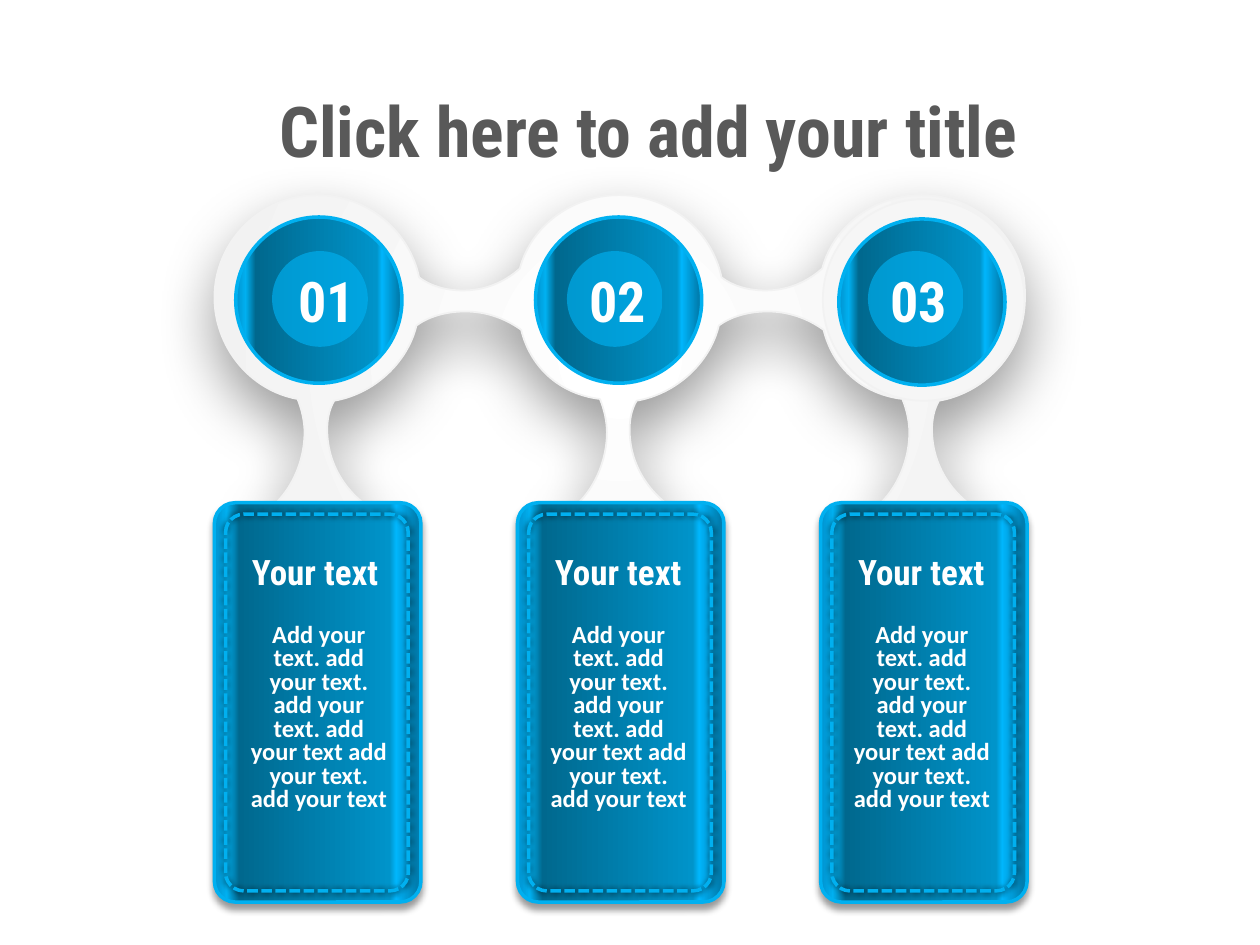
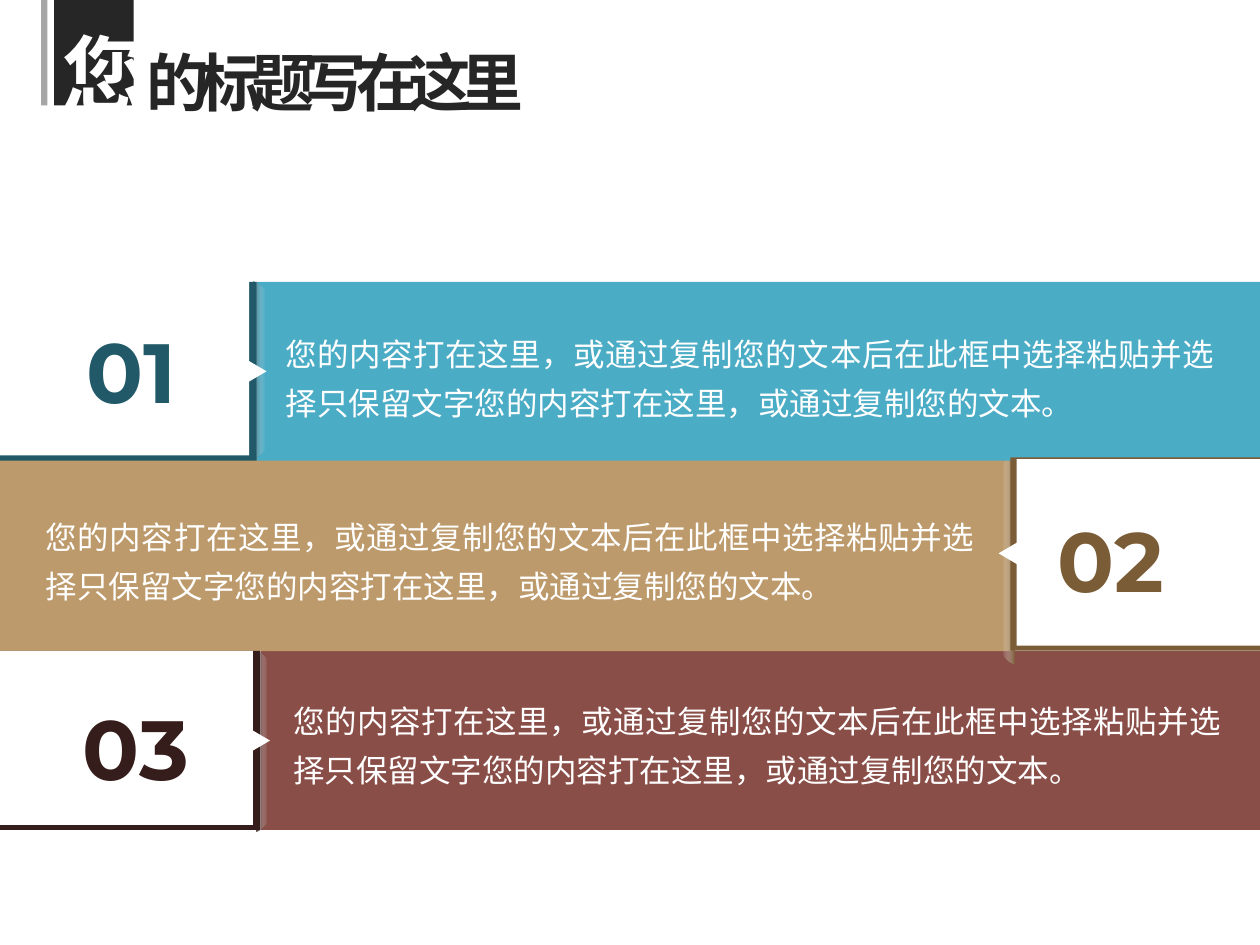
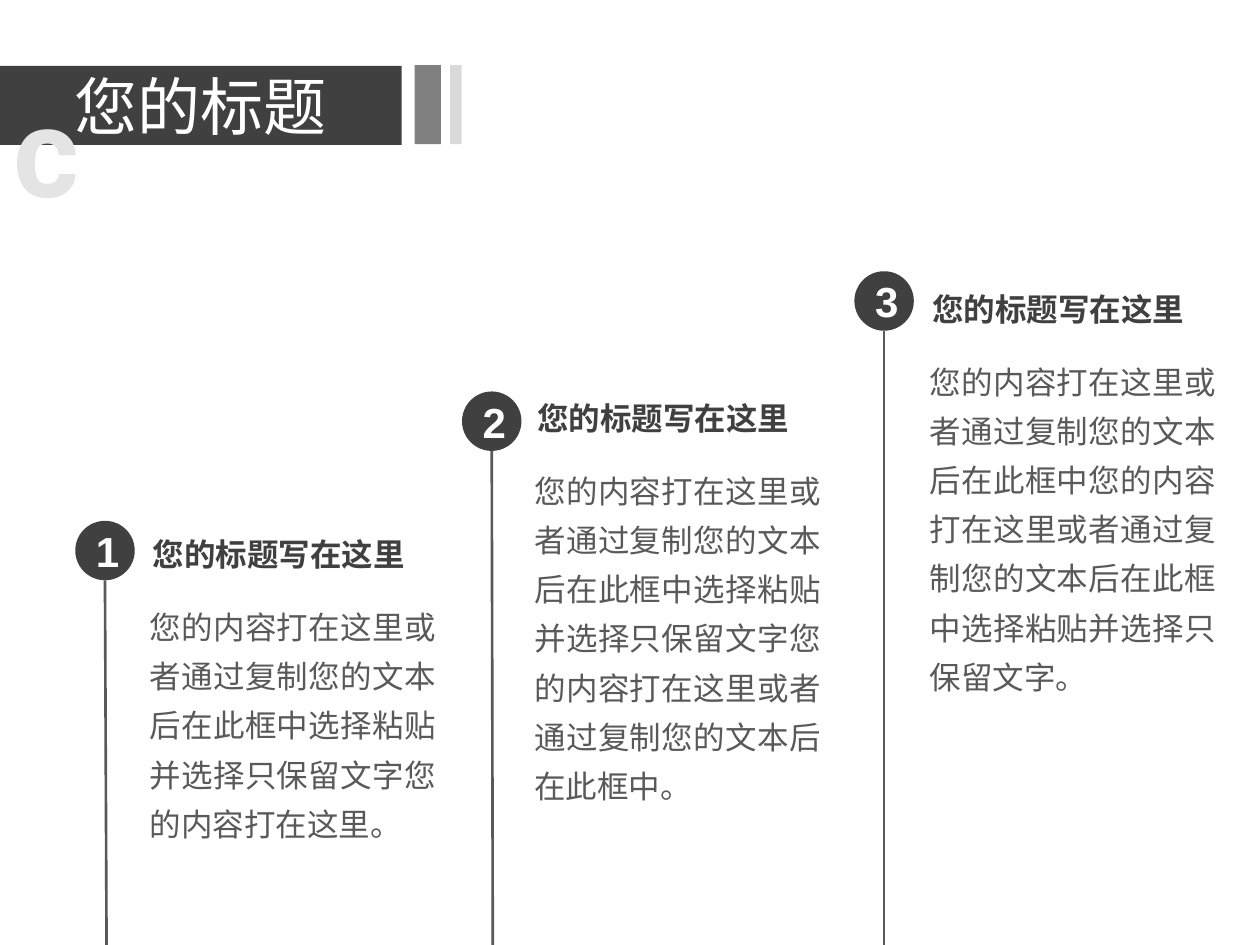
"""Build three slides: linked rings, alternating bands and rising steps."""
from dataclasses import dataclass
from typing import Optional

from pptx import Presentation
from pptx import util as u
from pptx.dml.color import RGBColor
from pptx.enum import dml, shapes, text
from pptx.oxml import parse_xml
from pptx.oxml.ns import nsdecls, qn

SC, JP = "Noto Sans CJK SC", "Noto Sans CJK JP"
CONDENSED = "Roboto Condensed"
WHITE, INK, CHARCOAL, GREY, PALE = "FFFFFF", "262626", "404040", "595959", "E4E4E4"
BLUE, SILVER = "00B0F0", "F2F2F2"
CENTER, JUSTIFY = text.PP_ALIGN.CENTER, text.PP_ALIGN.JUSTIFY
RECT = shapes.MSO_SHAPE.RECTANGLE
OVAL = shapes.MSO_SHAPE.OVAL
ROUNDED = shapes.MSO_SHAPE.ROUNDED_RECTANGLE
TRIANGLE = shapes.MSO_SHAPE.ISOSCELES_TRIANGLE


@dataclass(frozen=True)
class Stop:
    """One gradient stop; percentages for place and opacity."""
    place: int
    colour: str
    opacity: int = 100


@dataclass(frozen=True)
class Style:
    """The look of a span of text."""
    size: float
    font: str
    colour: str
    bold: bool = False
    spacing: Optional[float] = None


@dataclass(frozen=True)
class Column:
    """Left edges and disc top of one ring with its card."""
    number: str
    disc: float
    disc_top: float
    badge: float
    label: float


@dataclass(frozen=True)
class Band:
    """One coloured band with its number tag."""
    number: str
    colour: str
    dark: str
    panel: tuple
    tag: tuple
    cover: tuple
    fold: tuple
    fold_opacity: int
    notch: tuple
    number_at: tuple
    body_at: tuple


@dataclass(frozen=True)
class Step:
    """One numbered step with its stem."""
    number: str
    circle: tuple
    stem_end: float
    body_at: tuple
    body_height: float
    body: str


GLOSS = [Stop(0, "0092CE"), Stop(6, BLUE), Stop(12, "00688E"),
         Stop(85, "0094CA"), Stop(88, "00B6FC"), Stop(98, "007EB0")]
PORCELAIN = [Stop(0, WHITE), Stop(100, SILVER)]

COLUMNS = [Column("01", 134.7, 124, 155.5, 163.4),
           Column("02", 306, 124, 324, 329.6),
           Column("03", 479.3, 125.1, 496, 501.8)]
CARD_LEFT, CARD_PITCH = 122.5, 173.2
CARD_TEXT = ("Add your text. add your text. add your text. add your text "
             "add your text. add your text")

RING_X, RING_Y, RING_PITCH, RING_RADIUS = 181, 170, 172.8, 58.5
RING_START = (-58.5, -32, -32, -58.5, 0, -58.5)
RING_TOP = (29, -58.5, 53, -38, 58.5, -11.5)
NECK_TOP = [(65, -6.5, 74, -4, 83.5, -4), (96, -4, 107, -8.5, 116, -16.5),
            (122.5, -41, 146, -58.5, 172.8, -58.5)]
RING_RIGHT = (59.5, -3, 59.5, 7, 57, 16)
RING_BOTTOM = [(52, 37, 33, 55, 10, 59), (7, 64, 6, 70, 6, 75.5),
               (6, 98, 20, 117, 41, 126), (41, 126, -36, 126, -36, 126),
               (-19, 119, -7, 98, -7, 77), (-7, 71, -8.5, 64, -11, 58)]
RING_LEFT = (-35, 55, -51, 39, -56, 18.5)
RING_END = (-38.5, 53, -58.5, 28, -58.5, 0)
NECK_BOTTOM = [(-65, 12, -76, 8, -88, 8), (-99, 8, -109, 11, -115.8, 16)]

BAND_TEXT = ("您的内容打在这里，或通过复制您的文本后在此框中选择粘贴并选择"
             "只保留文字您的内容打在这里，或通过复制您的文本。")
BANDS = [
    Band("01", "4BACC6", "215968", (146.7, 161, 573.3, 102.2), (0, 161, 146.7, 102.2),
         (0, 158.1, 142.4, 102.2), (144.7, 161, 262.2, 162.7), 82,
         (146.5, 212.2), (42.5, 179.3), (156.2, 181.4)),
    Band("02", "BD9A6B", "7A5D36", (0, 261.2, 580, 110.9), (577.4, 261.4, 142.6, 110.5),
         (581, 262.3, 139, 106.6), (579.8, 260, 379.8, 561.6), 100,
         (576.4, 316.2), (597.3, 287.3), (19.1, 285.8)),
    Band("03", "8A4E48", "351D1B", (149, 372, 571, 102.2), (0, 372, 148.7, 102.2),
         (0, 372, 144.6, 99.4), (146.9, 372, 475, 162.7), 100,
         (148.5, 423.2), (40.3, 394.6), (160.6, 391)),
]

OPENING = "您的内容打在这里或者通过复制您的文本后在此框中"
STEPS = [
    Step("1", (43, 297.6), 60.9, (78.4, 337.6), 149,
         OPENING + "选择粘贴并选择只保留文字您的内容打在这里。"),
    Step("2", (264, 223.7), 281.6, (298.3, 259.8), 206,
         OPENING + "选择粘贴并选择只保留文字" + OPENING + "。"),
    Step("3", (488.2, 155), 505.2, (524.1, 197.4), 206,
         OPENING + OPENING + "选择粘贴并选择只保留文字。"),
]


def rgb(colour: str) -> RGBColor:
    """Turn a hex string into a colour."""
    return RGBColor.from_string(colour)


def gradient(shape, stops: list[Stop], angle: Optional[int] = None) -> None:
    """Fill with a linear gradient, or a round one when no angle is given."""
    marks = "".join(
        f'<a:gs pos="{stop.place * 1000}"><a:srgbClr val="{stop.colour}">'
        f'<a:alpha val="{stop.opacity * 1000}"/></a:srgbClr></a:gs>' for stop in stops)
    if angle is None:
        course = ('<a:path path="circle"><a:fillToRect l="50000" t="50000" '
                  'r="50000" b="50000"/></a:path>')
    else:
        course = f'<a:lin ang="{angle * 60000}" scaled="0"/>'
    shape.fill.background()
    properties = shape._element.spPr
    properties.replace(properties.find(qn("a:noFill")), parse_xml(
        f'<a:gradFill {nsdecls("a")} rotWithShape="1"><a:gsLst>{marks}</a:gsLst>'
        f'{course}</a:gradFill>'))


def shade(shape, opacity: int, blur: float, distance: float) -> None:
    """Cast a black shadow straight down."""
    shape._element.spPr.find(qn("a:effectLst")).append(parse_xml(
        f'<a:outerShdw {nsdecls("a")} blurRad="{u.Pt(blur)}" dist="{u.Pt(distance)}" '
        f'dir="5400000" rotWithShape="0"><a:srgbClr val="000000">'
        f'<a:alpha val="{opacity * 1000}"/></a:srgbClr></a:outerShdw>'))


def finish(shape, fill: Optional[str], line: Optional[str], width: float) -> None:
    """Set plain fill and outline, and drop the theme shadow."""
    shape.shadow.inherit = False
    if fill:
        shape.fill.solid()
        shape.fill.fore_color.rgb = rgb(fill)
    else:
        shape.fill.background()
    if line:
        shape.line.color.rgb = rgb(line)
        shape.line.width = u.Pt(width)
    else:
        shape.line.fill.background()


def add_box(page, kind, area: tuple, fill: Optional[str] = None,
            line: Optional[str] = None, width: float = 2):
    """Draw a preset shape over (left, top, width, height)."""
    box = page.shapes.add_shape(kind, *(u.Pt(length) for length in area))
    finish(box, fill, line, width)
    return box


def write(frame, spans: list, align=None, leading: Optional[float] = None) -> None:
    """Write one paragraph from (words, style) pairs."""
    frame.word_wrap = True
    para = frame.paragraphs[0]
    para.alignment = align
    para.line_spacing = leading
    for words, style in spans:
        span = para.add_run()
        span.text = words
        span.font.size = u.Pt(style.size)
        span.font.bold = style.bold
        span.font.color.rgb = rgb(style.colour)
        span.font.name = style.font
        properties = span._r.get_or_add_rPr()
        properties.append(parse_xml(f'<a:ea {nsdecls("a")} typeface="{style.font}"/>'))
        if style.spacing is not None:
            properties.set("spc", str(round(style.spacing * 100)))


def add_text(page, area: tuple, spans: list, align=None,
             leading: Optional[float] = None) -> None:
    """Add a text box with one paragraph."""
    box = page.shapes.add_textbox(*(u.Pt(length) for length in area))
    write(box.text_frame, spans, align, leading)


def add_curves(page, start: tuple, curves: list[tuple]):
    """Draw a closed outline of cubic curves, each (x1, y1, x2, y2, x3, y3)."""
    corners = [(u.Pt(curve[i]), u.Pt(curve[i + 1])) for curve in curves for i in (0, 2, 4)]
    builder = page.shapes.build_freeform(u.Pt(start[0]), u.Pt(start[1]))
    builder.add_line_segments(corners, close=True)
    outline = builder.convert_to_shape()
    route = outline._element.spPr.find(".//" + qn("a:path"))
    legs = route.findall(qn("a:lnTo"))
    for first in range(0, len(legs), 3):
        bend = parse_xml(f'<a:cubicBezTo {nsdecls("a")}/>')
        legs[first].addprevious(bend)
        for leg in legs[first:first + 3]:
            bend.append(leg[0])
            route.remove(leg)
    return outline


def chain_curves() -> list[tuple]:
    """Trace the three linked rings and their stems clockwise."""
    last = len(COLUMNS) - 1
    placed = [(0, RING_START)]
    for ring in range(last + 1):
        placed += [(ring, curve) for curve in
                   [RING_TOP] + (NECK_TOP if ring < last else [RING_RIGHT])]
    for ring in range(last, -1, -1):
        placed += [(ring, curve) for curve in
                   RING_BOTTOM + ([RING_LEFT] + NECK_BOTTOM if ring else [RING_END])]
    return [tuple(value + (RING_Y if i % 2 else RING_X + RING_PITCH * ring)
                  for i, value in enumerate(curve)) for ring, curve in placed]


def ring_slide(page) -> None:
    """Draw three rings hanging over three cards."""
    chain = add_curves(page, (RING_X - RING_RADIUS, RING_Y), chain_curves())
    finish(chain, None, SILVER, 1)
    gradient(chain, PORCELAIN)
    shade(chain, 40, 34, 14)
    gradient(add_box(page, OVAL, (470.2, 113.8, 115.2, 115.2), None, SILVER, 1), PORCELAIN)
    number = Style(32, CONDENSED, WHITE, True)
    heading = Style(20, CONDENSED, WHITE, True)
    body = Style(14, "Calibri", WHITE, True)
    for i, column in enumerate(COLUMNS):
        left = CARD_LEFT + CARD_PITCH * i
        disc = add_box(page, OVAL, (column.disc, column.disc_top, 95, 95), None, BLUE)
        gradient(disc, GLOSS, 0)
        card = add_box(page, ROUNDED, (left, 287.3, 118, 228.2), None, BLUE)
        card.adjustments[0] = 0.1
        gradient(card, GLOSS, 0)
        shade(card, 40, 4, 3)
        stitch = add_box(page, ROUNDED, (left + 6.4, 293.8, 104.4, 215.3), None, BLUE)
        stitch.adjustments[0] = 0.1
        stitch.line.dash_style = dml.MSO_LINE.SQUARE_DOT
        stitch.line._get_or_add_ln().find(qn("a:prstDash")).set("val", "sysDash")
        shade(stitch, 80, 4, 0)
        badge = add_box(page, OVAL, (column.badge, 143.5, 54.7, 54.7))
        gradient(badge, [Stop(0, BLUE, 66), Stop(100, BLUE, 66)], 0)
        add_text(page, (column.label, 156.2, 59.8, 45.4), [(column.number, number)], None, 0.8)
        add_text(page, (left - 0.4, 315.8, 116, 31.7), [("Your text", heading)], CENTER, 0.8)
        add_text(page, (column.disc, 353.3, 95, 129.6), [(CARD_TEXT, body)], CENTER, 0.8)
    add_text(page, (146.5, 32, 447.8, 62.6),
             [("Click here to add your title", Style(40, CONDENSED, GREY, True))], CENTER, 1.3)


def fold_curves(fold: tuple) -> list[tuple]:
    """Trace a half oval from its flat side, top, bottom and tip."""
    flat, top, bottom, tip = fold
    middle, reach = (top + bottom) / 2, (bottom - top) * 0.25
    near = flat + (tip - flat) * 0.6
    return [(near, top + 3, tip, middle - reach, tip, middle),
            (tip, middle + reach, near, bottom - 3, flat, bottom)]


def band_slide(page) -> None:
    """Draw three bands with number tags on alternate sides."""
    for band in reversed(BANDS):
        add_box(page, RECT, band.panel, band.colour)
        fold = add_curves(page, band.fold[:2], fold_curves(band.fold))
        finish(fold, None, None, 0)
        points_right = band.fold[3] > band.fold[0]
        gradient(fold, [Stop(61, SILVER, 0), Stop(100, band.dark, band.fold_opacity)],
                 180 if points_right else 0)
    for band in BANDS:
        add_box(page, RECT, band.tag, band.dark)
        add_box(page, RECT, band.cover, WHITE)
        x, y = band.notch
        notch = add_box(page, TRIANGLE, (x - 6.8, y - 5.8, 13.6, 11.6), WHITE)
        notch.rotation = 90 if band.fold[3] > band.fold[0] else 270
        add_text(page, (*band.number_at, 104.4, 65.5),
                 [(band.number, Style(48, "Montserrat", band.dark, True))])
        add_text(page, (*band.body_at, 545, 64.1),
                 [(BAND_TEXT, Style(18, SC, WHITE))], JUSTIFY, 1.3)
    add_box(page, RECT, (31, 0, 45.4, 60.2), INK)
    add_text(page, (28.4, 3.6, 320.4, 62.6),
             [("您", Style(48, JP, WHITE, True, -6)),
              ("的标题写在这里", Style(36, JP, INK, True, -6))], None, 1.1)
    add_box(page, RECT, (23.5, 0, 3.6, 60.2), "A6A6A6")


def step_slide(page) -> None:
    """Draw three numbered steps that rise to the right."""
    size = 34
    for step in STEPS:
        left, top = step.circle
        circle = add_box(page, OVAL, (left, top, size, size), CHARCOAL)
        frame = circle.text_frame
        frame.margin_left, frame.margin_right = u.Pt(3), u.Pt(0)
        frame.vertical_anchor = text.MSO_ANCHOR.MIDDLE
        write(frame, [(step.number, Style(24, "Arial", WHITE, True))], CENTER)
        stem = page.shapes.add_connector(
            shapes.MSO_CONNECTOR.STRAIGHT, u.Pt(left + size / 2), u.Pt(top + size),
            u.Pt(step.stem_end), u.Pt(540))
        stem.line.color.rgb = rgb(GREY)
        stem.line.width = u.Pt(1.5)
        stem._element.spPr.append(parse_xml(f'<a:effectLst {nsdecls("a")}/>'))
        x, y = step.body_at
        add_text(page, (x, y, 177.8, step.body_height),
                 [(step.body, Style(18, SC, GREY))], JUSTIFY, 1.3)
        add_text(page, (x + 1.7, y - 35.2, 175.7, 28.8),
                 [("您的标题写在这里", Style(18, SC, CHARCOAL, True))])
    banner = add_box(page, RECT, (0, 37.6, 229.6, 45.2), CHARCOAL)
    banner.text_frame.vertical_anchor = text.MSO_ANCHOR.MIDDLE
    write(banner.text_frame, [("您的标题", Style(36, JP, WHITE))], CENTER)
    add_box(page, RECT, (236.9, 37.2, 15.1, 45.2), "808080")
    add_text(page, (0.7, 37.4, 69.8, 94.3), [("c", Style(72, "Roboto", PALE, True))])
    add_box(page, RECT, (257.2, 37.2, 6.7, 45.2), "D9D9D9")


def main() -> None:
    """Build and save the deck."""
    deck = Presentation()
    deck.slide_width, deck.slide_height = u.Pt(720), u.Pt(540)
    for draw in (ring_slide, band_slide, step_slide):
        draw(deck.slides.add_slide(deck.slide_layouts[6]))
    deck.save("out.pptx")


if __name__ == "__main__":
    main()
